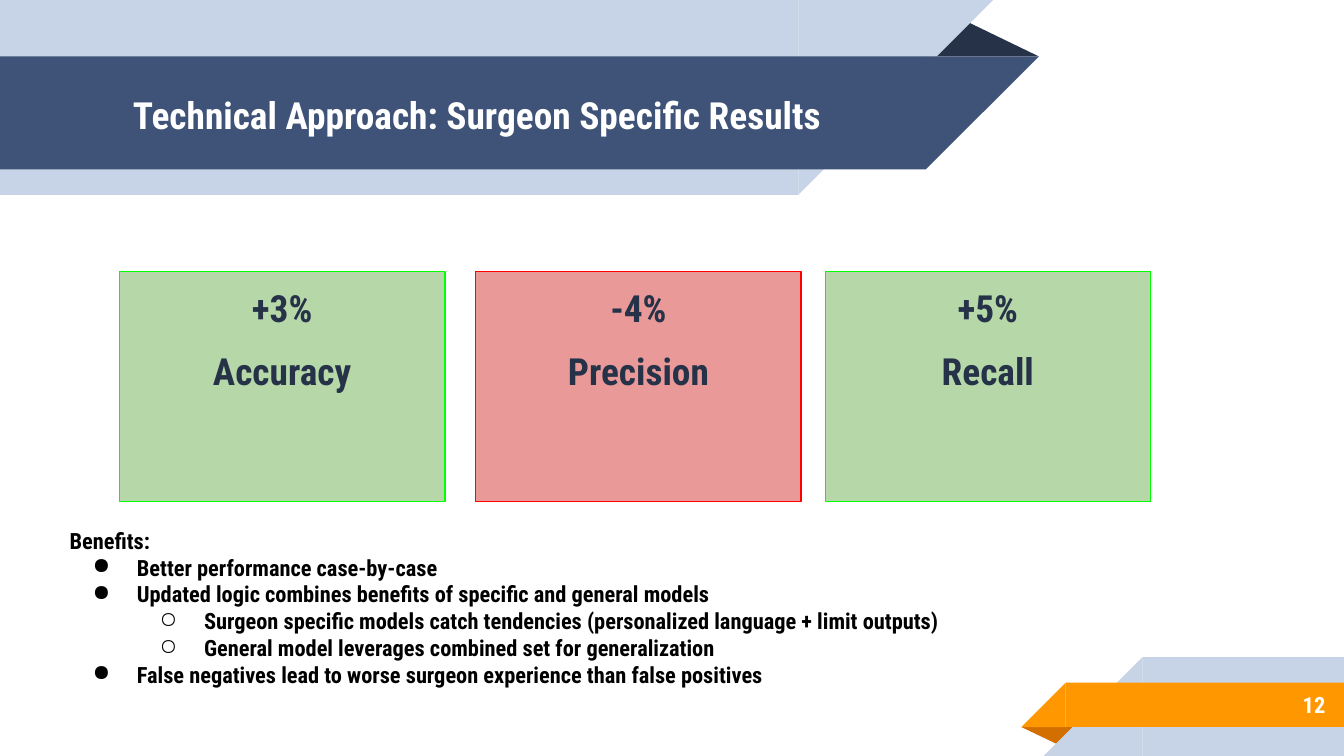
from lxml.etree import SubElement
from pptx import Presentation
from pptx.dml.color import RGBColor
from pptx.enum.shapes import MSO_SHAPE
from pptx.enum.text import MSO_ANCHOR, PP_ALIGN
from pptx.oxml.ns import qn
from pptx.util import Inches, Pt

NAVY = RGBColor(0x26, 0x32, 0x48)
BLUE = RGBColor(0x3F, 0x53, 0x78)
PALE_BLUE = RGBColor(0xC7, 0xD3, 0xE6)
ORANGE = RGBColor(0xFF, 0x98, 0x00)
DARK_ORANGE = RGBColor(0xD2, 0x6F, 0x00)
GREEN = RGBColor(0xB6, 0xD7, 0xA8)
GREEN_LINE = RGBColor(0x00, 0xFF, 0x00)
RED = RGBColor(0xEA, 0x99, 0x99)
RED_LINE = RGBColor(0xFF, 0x00, 0x00)
WHITE = RGBColor(0xFF, 0xFF, 0xFF)
BLACK = RGBColor(0x00, 0x00, 0x00)
FONT = "Roboto Condensed"

presentation = Presentation()
presentation.slide_width = Inches(10)
presentation.slide_height = Inches(5.625)
slide = presentation.slides.add_slide(presentation.slide_layouts[6])

# Square grid: 100 columns across the slide, rows of the same size
CELL = presentation.slide_width / 100
COLUMNS = 100
ROWS = presentation.slide_height / CELL


def add_block(kind, left, top, width, height, fill):
    shape = slide.shapes.add_shape(
        kind, *(round(length * CELL) for length in (left, top, width, height)))
    shape.shadow.inherit = False
    shape.fill.solid()
    shape.fill.fore_color.rgb = fill
    shape.line.fill.background()
    return shape


def write_text(shape, lines, size, color, alignment, anchor):
    text_frame = shape.text_frame
    text_frame.word_wrap = True
    text_frame.vertical_anchor = anchor
    text_frame.margin_left = text_frame.margin_right = round(CELL)
    text_frame.margin_top = text_frame.margin_bottom = round(CELL)
    text_frame.text = "\n".join(lines)
    for paragraph in text_frame.paragraphs:
        paragraph.alignment = alignment
        for run in paragraph.runs:
            run.font.name = FONT
            run.font.size = Pt(size)
            run.font.bold = True
            run.font.color.rgb = color
    return text_frame.paragraphs


# Header ribbon: each band ends in a slope as wide as the band is high
header_fold = add_block(MSO_SHAPE.ISOSCELES_TRIANGLE, 68.8, 1.4, 8.5, 2.8, NAVY)
header_fold.adjustments[0] = 0.32
for top, length, height, color in [(0, 59.4, 14.5, PALE_BLUE),
                                   (4.2, 68.9, 8.4, BLUE)]:
    add_block(MSO_SHAPE.RECTANGLE, 0, top, length, height, color)
    slope = add_block(MSO_SHAPE.RIGHT_TRIANGLE, length, top, height, height, color)
    slope._element.spPr.xfrm.set("flipV", "1")

# Footer ribbon: bands run to the right edge of the slide
footer_fold = add_block(MSO_SHAPE.ISOSCELES_TRIANGLE, 76, 54.1, 4.3, 1.4, DARK_ORANGE)
footer_fold.adjustments[0] = 0.32
footer_fold.rotation = 180
for left, top, height, color in [(85, 48.9, ROWS - 48.9, PALE_BLUE),
                                 (79.3, 50.8, 3.3, ORANGE)]:
    add_block(MSO_SHAPE.RECTANGLE, left, top, COLUMNS - left, height, color)
    slope = add_block(MSO_SHAPE.RIGHT_TRIANGLE, left - height, top, height, height, color)
    slope._element.spPr.xfrm.set("flipH", "1")

# Title, slide number and benefits
benefits = [
    (None, "Benefits:"),
    (0, "Better performance case-by-case"),
    (0, "Updated logic combines benefits of specific and general models"),
    (1, "Surgeon specific models catch tendencies (personalized language + limit outputs)"),
    (1, "General model leverages combined set for generalization"),
    (0, "False negatives lead to worse surgeon experience than false positives"),
]
text_boxes = [
    ((8.9, 4.3, 57.5, 8.4), ["Technical Approach: Surgeon Specific Results"],
     20, WHITE, PP_ALIGN.LEFT, MSO_ANCHOR.MIDDLE),
    ((83.3, 50.7, 16.3, 3.5), ["12"], 12, WHITE, PP_ALIGN.RIGHT, MSO_ANCHOR.MIDDLE),
    ((4.2, 38.2, 71.9, 17.3), [line for _, line in benefits],
     12, BLACK, PP_ALIGN.LEFT, MSO_ANCHOR.TOP),
]
for box, *text in text_boxes:
    text_box = slide.shapes.add_textbox(*(round(length * CELL) for length in box))
    paragraphs = write_text(text_box, *text)

# Bullets of the benefits, the last box written
for paragraph, (level, _) in zip(paragraphs, benefits):
    if level is None:
        continue
    paragraph.level = level
    properties = paragraph._p.get_or_add_pPr()
    properties.set("marL", str(round(5 * CELL * (level + 1))))
    properties.set("indent", str(round(-3.3 * CELL)))
    bullet_color = SubElement(properties, qn("a:buClr"))
    SubElement(bullet_color, qn("a:srgbClr"), val=str(BLACK))
    SubElement(properties, qn("a:buChar"), char="●○"[level])

# Result cards
cards = [
    (8.9, "+3%", "Accuracy", GREEN, GREEN_LINE),
    (35.4, "-4%", "Precision", RED, RED_LINE),
    (61.4, "+5%", "Recall", GREEN, GREEN_LINE),
]
for left, change, metric, fill, line_color in cards:
    card = add_block(MSO_SHAPE.RECTANGLE, left, 20.2, 24.2, 17.1, fill)
    card.line.color.rgb = line_color
    card.line.width = Pt(0.75)
    paragraphs = write_text(card, [change, metric], 20, NAVY,
                            PP_ALIGN.CENTER, MSO_ANCHOR.TOP)
    paragraphs[1].space_before = Pt(10)

presentation.save("out.pptx")
